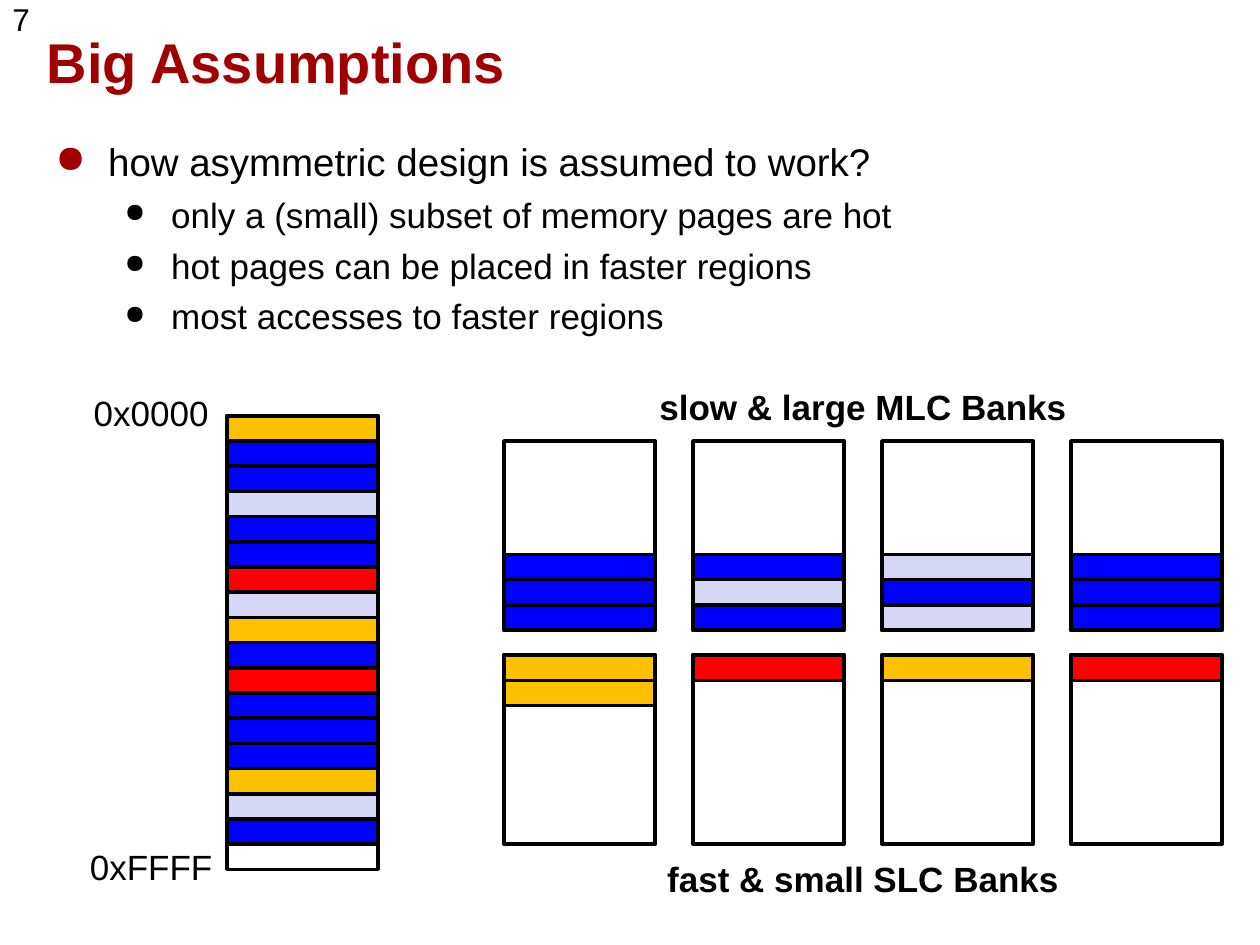
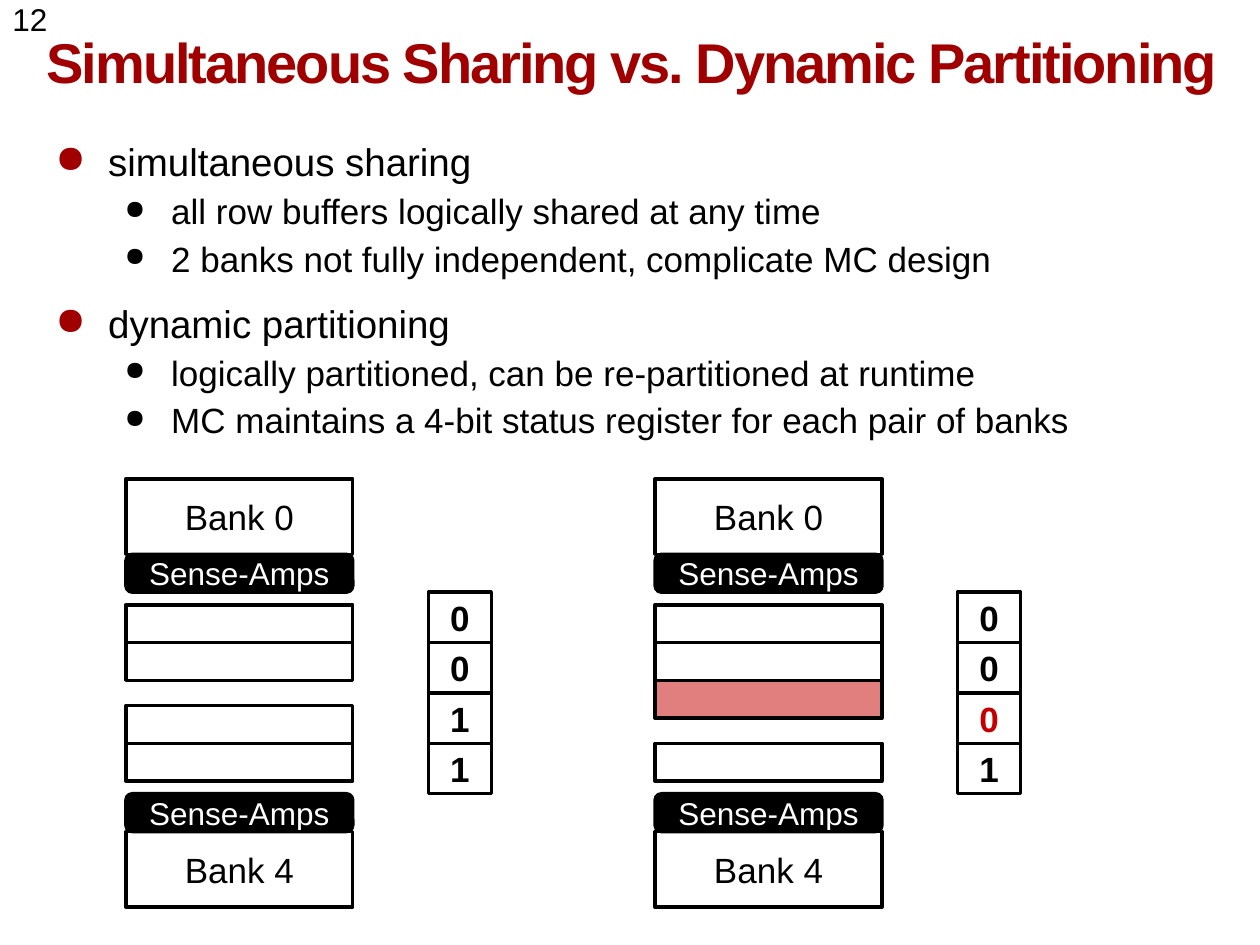
from lxml import etree
from pptx import Presentation
from pptx import util as u
from pptx.dml.color import RGBColor
from pptx.enum import shapes, text
from pptx.oxml import ns

Inches, Pt = u.Inches, u.Pt

FONT = "Arial"
BLACK = RGBColor(0x00, 0x00, 0x00)
WHITE = RGBColor(0xFF, 0xFF, 0xFF)
DARK_RED = RGBColor(0xA0, 0x00, 0x00)
CHANGED_RED = RGBColor(0xC4, 0x00, 0x00)
BLUE = RGBColor(0x00, 0x00, 0xFF)
GOLD = RGBColor(0xFF, 0xC0, 0x00)
RED = RGBColor(0xFF, 0x00, 0x00)
PALE = RGBColor(0xD6, 0xD6, 0xF5)

PAGE_WIDTH, PAGE_HEIGHT = 1.2, 0.2
BANK_HEIGHT = 1.5
MEMORY_PAGES = [GOLD, BLUE, BLUE, PALE, BLUE, BLUE, RED, PALE, GOLD,
                BLUE, RED, BLUE, BLUE, BLUE, GOLD, PALE, BLUE]
SLOW_BANKS = [[BLUE, BLUE, BLUE], [BLUE, PALE, BLUE],
              [PALE, BLUE, PALE], [BLUE, BLUE, BLUE]]
FAST_BANKS = [[GOLD, GOLD], [RED], [GOLD], [RED]]


def add_xml(parent, tag, **attributes):
    return etree.SubElement(parent, ns.qn(tag), attributes)


def style_runs(para, size, color=BLACK, bold=False):
    for span in para.runs:
        span.font.size = Pt(size)
        span.font.bold = bold
        span.font.color.rgb = color
        span.font.name = FONT


def set_margins(frame, across=0, down=0):
    frame.margin_left = frame.margin_right = Inches(across)
    frame.margin_top = frame.margin_bottom = Inches(down)


def add_text(page, left, top, width, height, wording, size=20, bold=False,
             align=text.PP_ALIGN.CENTER, anchor=text.MSO_ANCHOR.MIDDLE):
    box = page.shapes.add_textbox(Inches(left), Inches(top), Inches(width), Inches(height))
    frame = box.text_frame
    frame.word_wrap = True
    frame.vertical_anchor = anchor
    set_margins(frame)
    frame.text = wording
    para = frame.paragraphs[0]
    para.alignment = align
    para.line_spacing = 0.85
    style_runs(para, size, BLACK, bold)
    return box


def add_title(page, wording, spacing):
    title = page.shapes.title
    title.left, title.top = Inches(0.37), Inches(0.15)
    title.width, title.height = Inches(9.3), Inches(0.74)
    frame = title.text_frame
    frame.text = wording
    frame.word_wrap = True
    frame.auto_size = text.MSO_AUTO_SIZE.NONE
    frame.vertical_anchor = text.MSO_ANCHOR.MIDDLE
    set_margins(frame)
    para = frame.paragraphs[0]
    para.alignment = text.PP_ALIGN.LEFT
    para.line_spacing = 0.87
    style_runs(para, 32, DARK_RED, True)
    properties = para.runs[0].font._element
    if spacing:
        properties.set("spc", str(round(spacing * 100)))
    effects = etree.Element(ns.qn("a:effectLst"))
    shadow = add_xml(effects, "a:outerShdw", dist="38100", dir="2700000", algn="tl")
    add_xml(shadow, "a:srgbClr", val="B2B2B2")
    properties.find(ns.qn("a:solidFill")).addnext(effects)


def add_slide(deck, number, title, spacing=0):
    page = deck.slides.add_slide(deck.slide_layouts[5])
    add_title(page, title, spacing)
    box = add_text(page, 0, 0, 0.57, 0.36, number, 18,
                   align=text.PP_ALIGN.LEFT, anchor=text.MSO_ANCHOR.TOP)
    set_margins(box.text_frame, 0.1, 0.05)
    return page


def set_bullet(para, indent, hanging, color, percent):
    properties = para._p.get_or_add_pPr()
    properties.set("marL", str(Inches(indent)))
    properties.set("indent", str(-Inches(hanging)))
    add_xml(add_xml(properties, "a:buClr"), "a:srgbClr", val=str(color))
    add_xml(properties, "a:buSzPct", val=str(percent * 1000))
    add_xml(properties, "a:buChar", char="●")


def add_bullets(page, items, sub_gap):
    box = page.shapes.add_textbox(Inches(0.34), Inches(1.05), Inches(9.25), Inches(6.3))
    frame = box.text_frame
    frame.word_wrap = True
    set_margins(frame, 0.1, 0.05)
    for index, (level, wording) in enumerate(items):
        para = frame.add_paragraph() if index else frame.paragraphs[0]
        para.text = wording
        para.level = level
        para.space_before = Pt(sub_gap if level else 12)
        style_runs(para, 20 if level else 22)
        if level:
            set_bullet(para, 0.92, 0.37, BLACK, 75)
        else:
            set_bullet(para, 0.42, 0.42, DARK_RED, 100)


def add_box(page, left, top, width, height, fill=None, opacity=100,
            kind=shapes.MSO_SHAPE.RECTANGLE):
    box = page.shapes.add_shape(kind, Inches(left), Inches(top), Inches(width), Inches(height))
    box.shadow.inherit = False
    box.line.color.rgb = BLACK
    box.line.width = Pt(2)
    if fill is None:
        box.fill.background()
    else:
        box.fill.solid()
        box.fill.fore_color.rgb = fill
    if opacity < 100:
        color = box._element.spPr.find(ns.qn("a:solidFill"))[0]
        add_xml(color, "a:alpha", val=str(opacity * 1000))
    return box


def label_box(box, wording, size=20, color=BLACK, bold=False):
    frame = box.text_frame
    frame.text = wording
    frame.word_wrap = False
    frame.vertical_anchor = text.MSO_ANCHOR.MIDDLE
    set_margins(frame)
    para = frame.paragraphs[0]
    para.alignment = text.PP_ALIGN.CENTER
    style_runs(para, size, color, bold)


def add_memory_pages(page, left, top, colors):
    for index, color in enumerate(colors):
        add_box(page, left, top + index * PAGE_HEIGHT, PAGE_WIDTH, PAGE_HEIGHT, color)


def add_bank_row(page, top, banks, at_bottom):
    for index, colors in enumerate(banks):
        left = 4 + index * 1.5
        offset = BANK_HEIGHT - len(colors) * PAGE_HEIGHT if at_bottom else 0
        add_memory_pages(page, left, top + offset, colors)
        add_box(page, left, top, PAGE_WIDTH, BANK_HEIGHT)


def add_bank_pair(page, left, row_tops, bits, changed=None):
    width, row_height, bit_height = 1.8, 0.3, 0.4
    for name, bank_top, amps_top in (("Bank 0", 3.8, 4.4), ("Bank 4", 6.6, 6.3)):
        amps = add_box(page, left, amps_top, width, row_height, BLACK,
                       kind=shapes.MSO_SHAPE.ROUNDED_RECTANGLE)
        label_box(amps, "Sense-Amps", 18, WHITE)
        label_box(add_box(page, left, bank_top, width, 0.6), name)
    for index, top in enumerate(row_tops):
        if index == changed:
            add_box(page, left, top, width, row_height, CHANGED_RED, 50)
        else:
            add_box(page, left, top, width, row_height)
    for index, bit in enumerate(bits):
        cell = add_box(page, left + 2.4, 4.7 + index * bit_height, 0.5, bit_height)
        label_box(cell, bit, color=CHANGED_RED if index == changed else BLACK, bold=True)


def build_assumptions(deck):
    page = add_slide(deck, "7", "Big Assumptions")
    add_bullets(page, [
        (0, "how asymmetric design is assumed to work?"),
        (1, "only a (small) subset of memory pages are hot"),
        (1, "hot pages can be placed in faster regions"),
        (1, "most accesses to faster regions"),
    ], 5)
    add_box(page, 1.8, 3.3, PAGE_WIDTH, 3.6)
    add_memory_pages(page, 1.8, 3.3, MEMORY_PAGES)
    add_text(page, 0.6, 3, 1.2, 0.6, "0x0000")
    add_text(page, 0.6, 6.6, 1.2, 0.6, "0xFFFF")
    add_bank_row(page, 3.5, SLOW_BANKS, True)
    add_bank_row(page, 5.2, FAST_BANKS, False)
    add_text(page, 4.9, 2.95, 3.9, 0.6, "slow & large MLC Banks", bold=True)
    add_text(page, 4.9, 6.7, 3.9, 0.6, "fast & small SLC Banks", bold=True)


def build_partitioning(deck):
    page = add_slide(deck, "12", "Simultaneous Sharing vs. Dynamic Partitioning", -1.2)
    add_bullets(page, [
        (0, "simultaneous sharing"),
        (1, "all row buffers logically shared at any time"),
        (1, "2 banks not fully independent, complicate MC design"),
        (0, "dynamic partitioning"),
        (1, "logically partitioned, can be re-partitioned at runtime"),
        (1, "MC maintains a 4-bit status register for each pair of banks"),
    ], 3)
    add_bank_pair(page, 1, [4.8, 5.1, 5.6, 5.9], "0011")
    add_bank_pair(page, 5.2, [4.8, 5.1, 5.4, 5.9], "0001", changed=2)


def main():
    deck = Presentation()
    deck.slide_width, deck.slide_height = Inches(10), Inches(7.5)
    build_assumptions(deck)
    build_partitioning(deck)
    deck.save("out.pptx")


if __name__ == "__main__":
    main()
